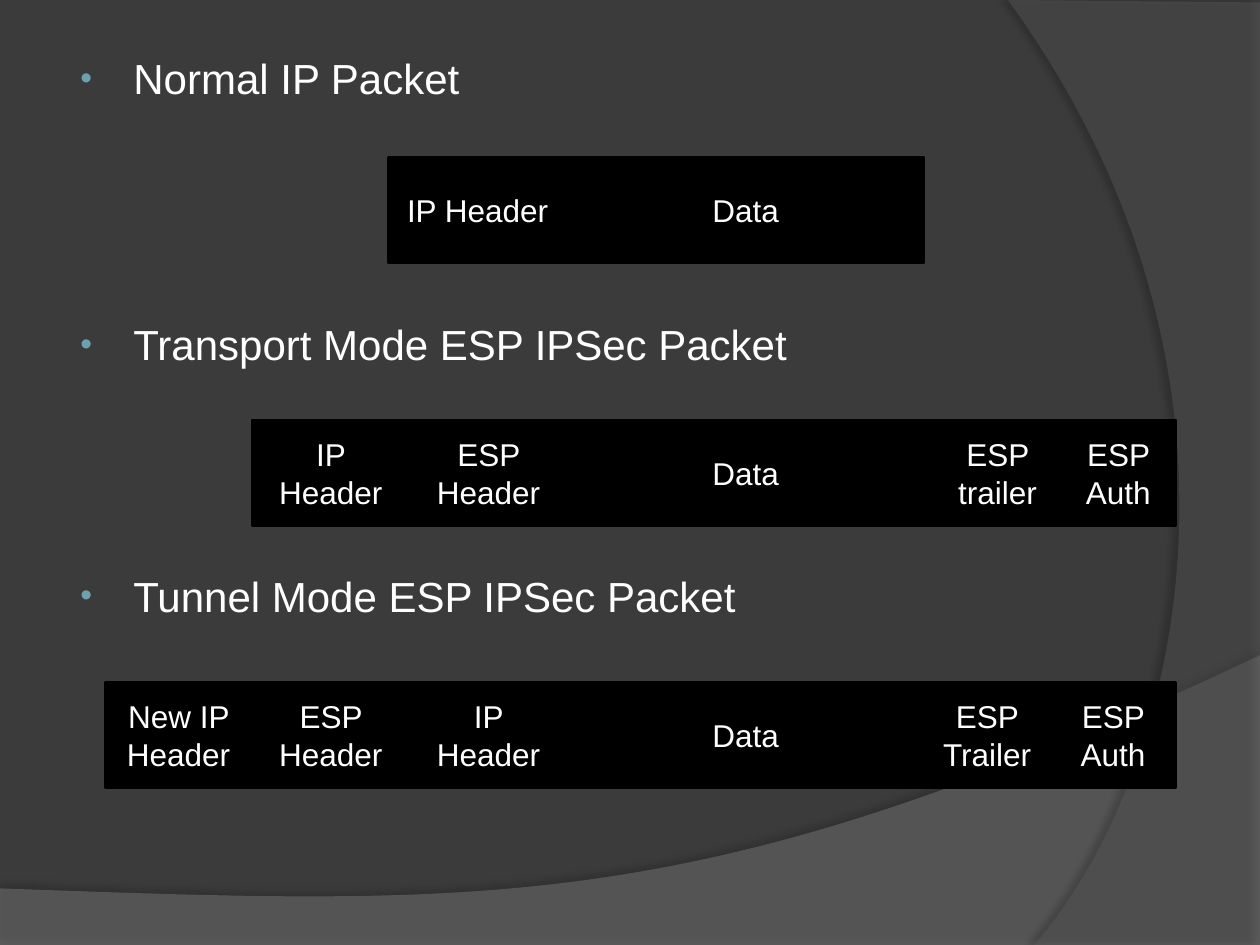
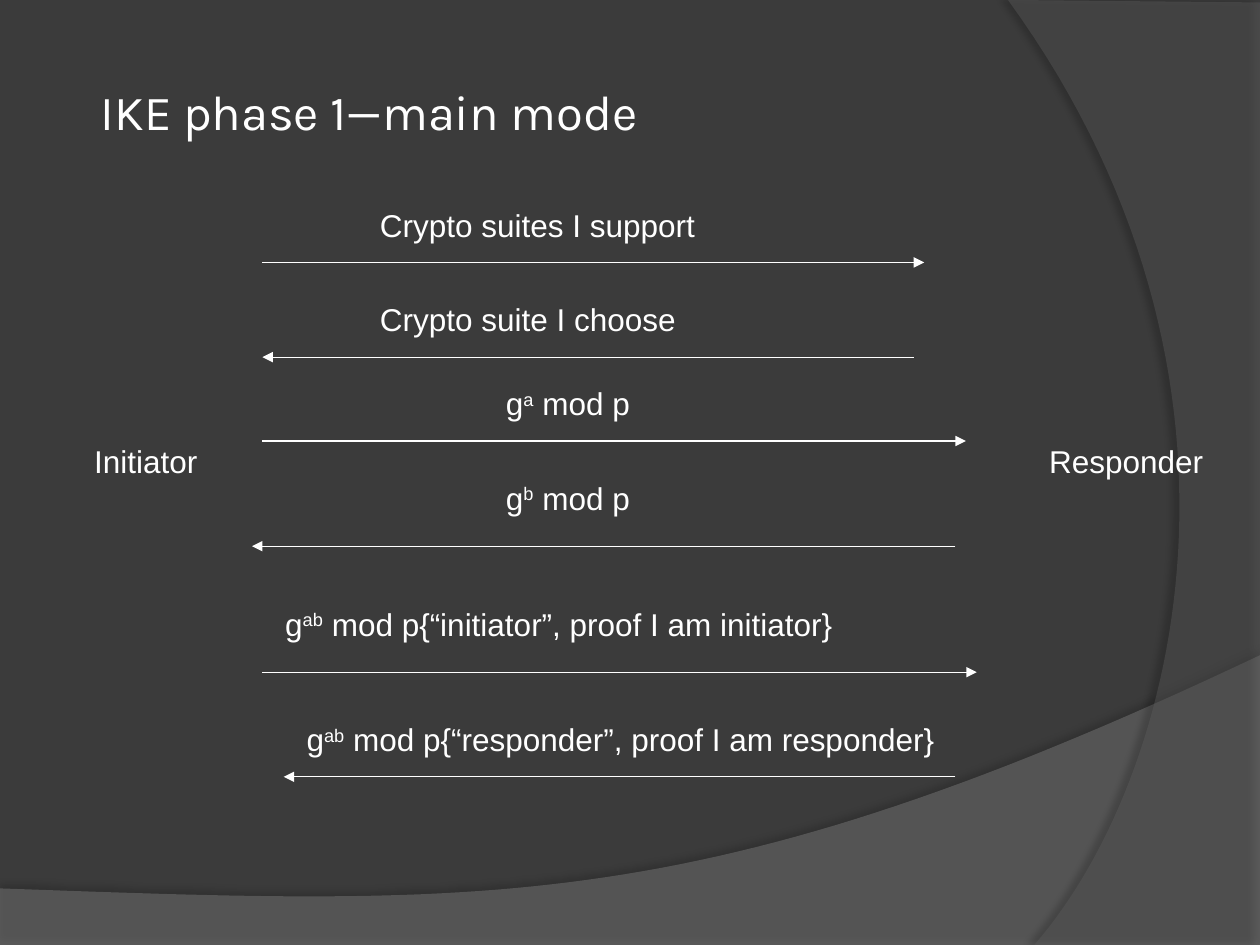
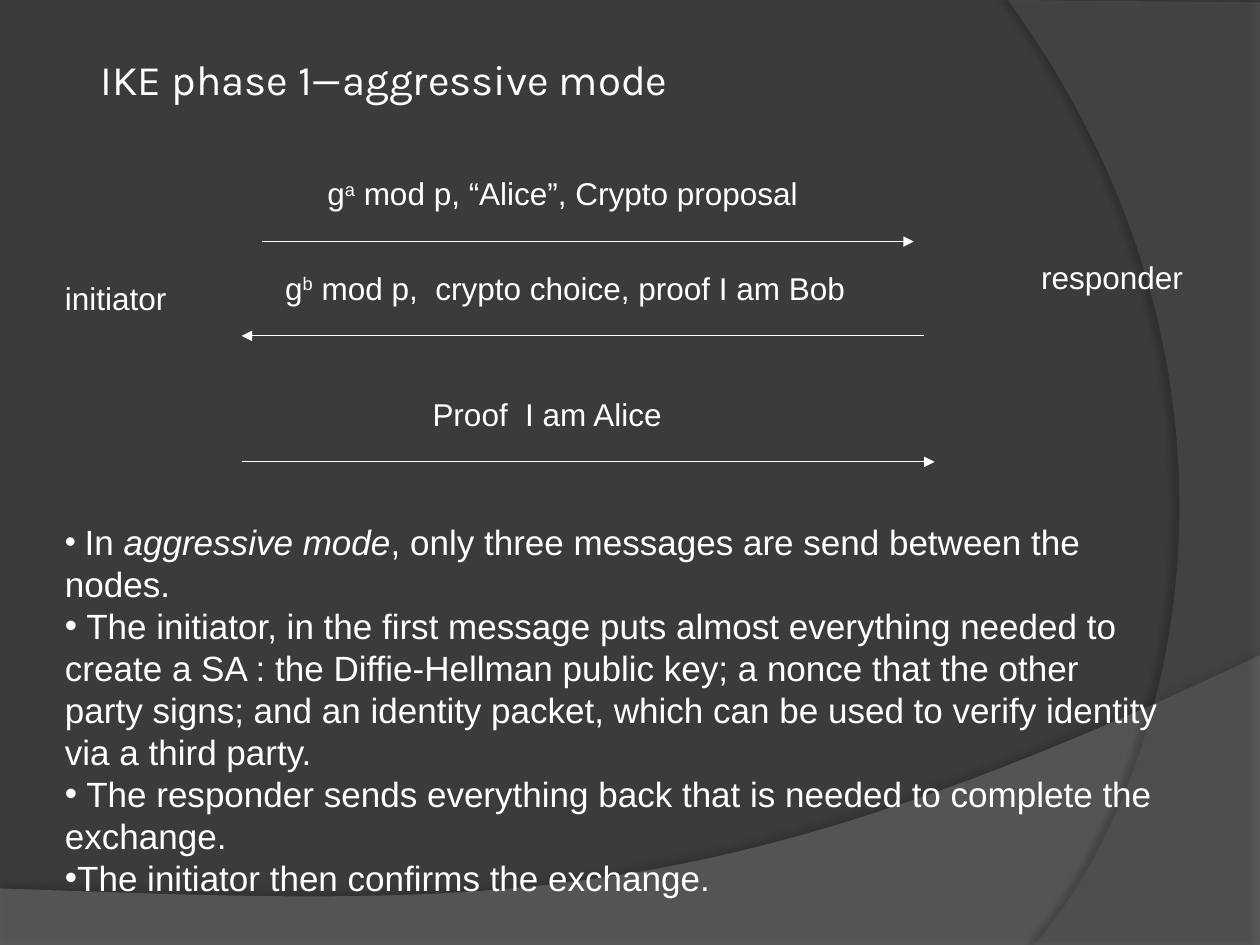
import pptx
import pptx.util
import pptx.dml.color
import pptx.enum.shapes
import pptx.enum.text
import pptx.oxml
import pptx.oxml.ns
from pptx.util import Cm

WIDTH, HEIGHT = 25.4, 19.05
BACKGROUND, WHITE, BLACK = "3B3B3B", "FFFFFF", "000000"
BULLET_BLUE = "6EA0B0"
BODY_FONT, TITLE_FONT = "Arial", "Karla"
BODY = {"name": BODY_FONT, "size": pptx.util.Pt(18)}
LIST = {"size": pptx.util.Pt(20)}
HEADING = {"size": pptx.util.Pt(24)}
ITALIC = {**LIST, "italic": True}


def colour(value):
    return pptx.dml.color.RGBColor.from_string(value)


def add_xml(parent, tag, **attributes):
    """Append a drawing element with the given attributes."""
    child = pptx.oxml.parse_xml(f"<a:{tag} {pptx.oxml.ns.nsdecls('a')}/>")
    for name, value in attributes.items():
        child.set(name, str(value))
    parent.append(child)
    return child


# Text

def write(para, spans):
    for text, values in spans:
        span = para.add_run()
        span.text = text
        span.font.color.rgb = colour(WHITE)
        for name, value in {**BODY, **values}.items():
            if name == "baseline":
                span._r.get_or_add_rPr().set(name, str(value))
            else:
                setattr(span.font, name, value)


def power(exponent, rest):
    return [("g", {}), (exponent, {"baseline": 30000}), (rest, {})]


def add_text(page, left, top, width, height, paragraphs, **frame_values):
    box = page.shapes.add_textbox(Cm(left), Cm(top), Cm(width), Cm(height))
    frame = box.text_frame
    defaults = {"word_wrap": False,
                "auto_size": pptx.enum.text.MSO_AUTO_SIZE.SHAPE_TO_FIT_TEXT}
    for name, value in {**defaults, **frame_values}.items():
        setattr(frame, name, value)
    for index, spans in enumerate(paragraphs):
        write(frame.add_paragraph() if index else frame.paragraphs[0], spans)
    return frame


def add_title(page, text, top, height, size):
    inset = Cm(0.13)
    add_text(page, 1.9, top, 21.6, height,
             [[(text, {"name": TITLE_FONT, "size": pptx.util.Pt(size)})]],
             word_wrap=True, auto_size=pptx.enum.text.MSO_AUTO_SIZE.NONE,
             vertical_anchor=pptx.enum.text.MSO_ANCHOR.MIDDLE,
             margin_left=inset, margin_right=inset)


def add_bullet(para, hanging=0.0, left=0.0, tint=None, percent=100):
    properties = para._p.get_or_add_pPr()
    properties.set("marL", str(Cm(left)))
    properties.set("indent", str(-Cm(hanging)))
    if tint:
        add_xml(add_xml(properties, "buClr"), "srgbClr", val=tint)
    add_xml(properties, "buSzPct", val=percent * 1000)
    add_xml(properties, "buFont", typeface=BODY_FONT)
    add_xml(properties, "buChar", char="•")


# Background bands

def curve(start, control_a, control_b, end, steps=60):
    """Points along a cubic curve."""
    points = []
    for step in range(steps + 1):
        t = step / steps
        weights = ((1 - t) ** 3, 3 * t * (1 - t) ** 2, 3 * t * t * (1 - t), t ** 3)
        points.append(tuple(
            sum(weight * point[axis] for weight, point
                in zip(weights, (start, control_a, control_b, end)))
            for axis in (0, 1)))
    return points


def add_band(page, points, fill, opacity, shadow_opacity, distance, direction):
    corners = [(Cm(x), Cm(y)) for x, y in points]
    builder = page.shapes.build_freeform(*corners[0])
    builder.add_line_segments(corners[1:], close=True)
    band = builder.convert_to_shape()
    band.fill.solid()
    band.fill.fore_color.rgb = colour(fill)
    band.line.fill.background()
    band.shadow.inherit = False
    properties = band._element.spPr
    add_xml(properties.find(".//" + pptx.oxml.ns.qn("a:srgbClr")), "alpha",
            val=opacity * 1000)
    shadow = add_xml(properties.find(pptx.oxml.ns.qn("a:effectLst")), "outerShdw",
                     blurRad=pptx.util.Pt(4), dist=pptx.util.Pt(distance),
                     dir=direction * 60000, algn="ctr", rotWithShape=0)
    add_xml(add_xml(shadow, "srgbClr", val=BLACK), "alpha", val=shadow_opacity * 1000)


def add_page(deck):
    page = deck.slides.add_slide(deck.slide_layouts[6])
    bottom = curve((WIDTH, 13.21), (14.2, 18.52), (9.93, 18.26), (0, 17.91))
    right = curve((20.85, HEIGHT), (23.75, 15.72), (25.86, 7.62), (20.32, 0))
    add_band(page, [(0, HEIGHT), (WIDTH, HEIGHT)] + bottom, "7F7F7F", 45, 35, 3.5, 270)
    add_band(page, [(WIDTH, 0.05), (WIDTH, HEIGHT)] + right, "5E5E5E", 40, 45, 4, 180)
    return page


# Diagram parts

def add_field(page, text, left, top, width):
    field = page.shapes.add_shape(pptx.enum.shapes.MSO_SHAPE.RECTANGLE,
                                  Cm(left), Cm(top), Cm(width), Cm(2.12))
    field.shadow.inherit = False
    field.fill.solid()
    field.fill.fore_color.rgb = colour(BLACK)
    field.line.color.rgb = colour(BLACK)
    field.line.width = pptx.util.Pt(1.5)
    field.text_frame.vertical_anchor = pptx.enum.text.MSO_ANCHOR.MIDDLE
    para = field.text_frame.paragraphs[0]
    para.alignment = pptx.enum.text.PP_ALIGN.CENTER
    write(para, [(text, {})])


def add_arrow(page, start, end, height):
    arrow = page.shapes.add_connector(pptx.enum.shapes.MSO_CONNECTOR.STRAIGHT,
                                      Cm(start), Cm(height), Cm(end), Cm(height))
    arrow.line.color.rgb = colour(WHITE)
    arrow.line.width = pptx.util.Pt(0.75)
    add_xml(arrow.line._get_or_add_ln(), "tailEnd", type="triangle")
    add_xml(arrow._element.spPr, "effectLst")


def add_messages(page, messages):
    for spans, left, top, width, start, end, height in messages:
        add_arrow(page, start, end, height)
        add_text(page, left, top, width, 1.27, [spans])


def add_party(page, name, left, top, width):
    add_text(page, left, top, width, 1.02, [[(name, {})]])


# Slides

def packet_page(deck):
    page = add_page(deck)
    headings = {"Normal IP Packet": 0,
                "Transport Mode ESP IPSec Packet": 123,
                "Tunnel Mode ESP IPSec Packet": 115}
    frame = add_text(page, 1.27, 0.94, 22.86, 17.5,
                     [[(text, HEADING)] for text in headings],
                     word_wrap=True, auto_size=pptx.enum.text.MSO_AUTO_SIZE.NONE)
    for para, gap in zip(frame.paragraphs, headings.values()):
        para.space_before = pptx.util.Pt(gap)
        add_bullet(para, hanging=1.07, left=1.17, tint=BULLET_BLUE, percent=80)

    data = ("Data", 11.43, 7.2)
    packets = [
        [data, ("IP Header", 7.83, 3.6)],
        [("IP Header", 5.08, 3.18), data, ("ESP Header", 8.26, 3.18),
         ("ESP trailer", 18.63, 2.96), ("ESP Auth", 21.38, 2.33)],
        [("ESP Header", 5.08, 3.18), ("IP Header", 8.26, 3.18),
         ("New IP Header", 2.12, 2.96), data,
         ("ESP Trailer", 18.63, 2.54), ("ESP Auth", 21.17, 2.54)],
    ]
    for row, fields in enumerate(packets):
        for text, left, width in fields:
            add_field(page, text, left, 3.18 + 5.29 * row, width)


def main_mode_page(deck):
    page = add_page(deck)
    add_title(page, "IKE phase 1—main mode", 0.64, 3.18, 28)
    add_party(page, "Initiator", 1.65, 8.79, 2.62)
    add_party(page, "Responder", 20.9, 8.79, 3.66)
    # spans, text left, top, width, arrow start, end, height
    add_messages(page, [
        ([("Crypto suites I support", {})], 7.41, 4.02, 8.26, 5.29, 18.63, 5.29),
        ([("Crypto suite I choose", {})], 7.41, 5.93, 7.72, 18.42, 5.29, 7.2),
        (power("a", " mod p"), 9.95, 7.62, 3.53, 5.29, 19.47, 8.89),
        (power("b", " mod p"), 9.95, 9.53, 3.56, 19.26, 5.08, 11.01),
        (power("ab", " mod p{“initiator”, proof I am initiator}"),
         5.5, 12.07, 11.71, 5.29, 19.69, 13.55),
        (power("ab", " mod p{“responder”, proof I am responder}"),
         5.93, 14.39, 13.34, 19.26, 5.72, 15.66),
    ])


def aggressive_mode_page(deck):
    page = add_page(deck)
    add_title(page, "IKE phase 1—aggressive mode", 0.84, 1.48, 24)
    add_party(page, "initiator", 1.06, 5.5, 2.59)
    add_party(page, "responder", 20.74, 5.08, 3.4)
    add_messages(page, [
        (power("a", " mod p, “Alice”, Crypto proposal"),
         6.35, 3.39, 12.45, 5.29, 18.42, 4.87),
        (power("b", " mod p,  crypto choice, proof I am Bob"),
         5.5, 5.29, 14.4, 18.63, 4.87, 6.77),
        ([("Proof  I am Alice", {})], 8.47, 7.83, 6.38, 4.87, 18.84, 9.31),
    ])
    frame = add_text(page, 1.06, 10.37, 22.65, 7.95, [
        [(" ", {}), ("In ", LIST), ("aggressive mode", ITALIC),
         (", only three messages are send between the nodes.", LIST)],
        [(" The initiator, in the first message puts almost everything needed to "
          "create a SA : the Diffie-Hellman public key; a nonce that the other "
          "party signs; and an identity packet, which can be used to verify "
          "identity via a third party.", LIST)],
        [(" The responder sends everything back that is needed to complete the "
          "exchange.", LIST)],
        [("The initiator then confirms the exchange.", LIST)],
    ], word_wrap=True)
    for para in frame.paragraphs:
        add_bullet(para)


def main():
    deck = pptx.Presentation()
    deck.slide_width, deck.slide_height = Cm(WIDTH), Cm(HEIGHT)
    backdrop = deck.slide_master.background.fill
    backdrop.solid()
    backdrop.fore_color.rgb = colour(BACKGROUND)
    packet_page(deck)
    main_mode_page(deck)
    aggressive_mode_page(deck)
    deck.save("out.pptx")


if __name__ == "__main__":
    main()
